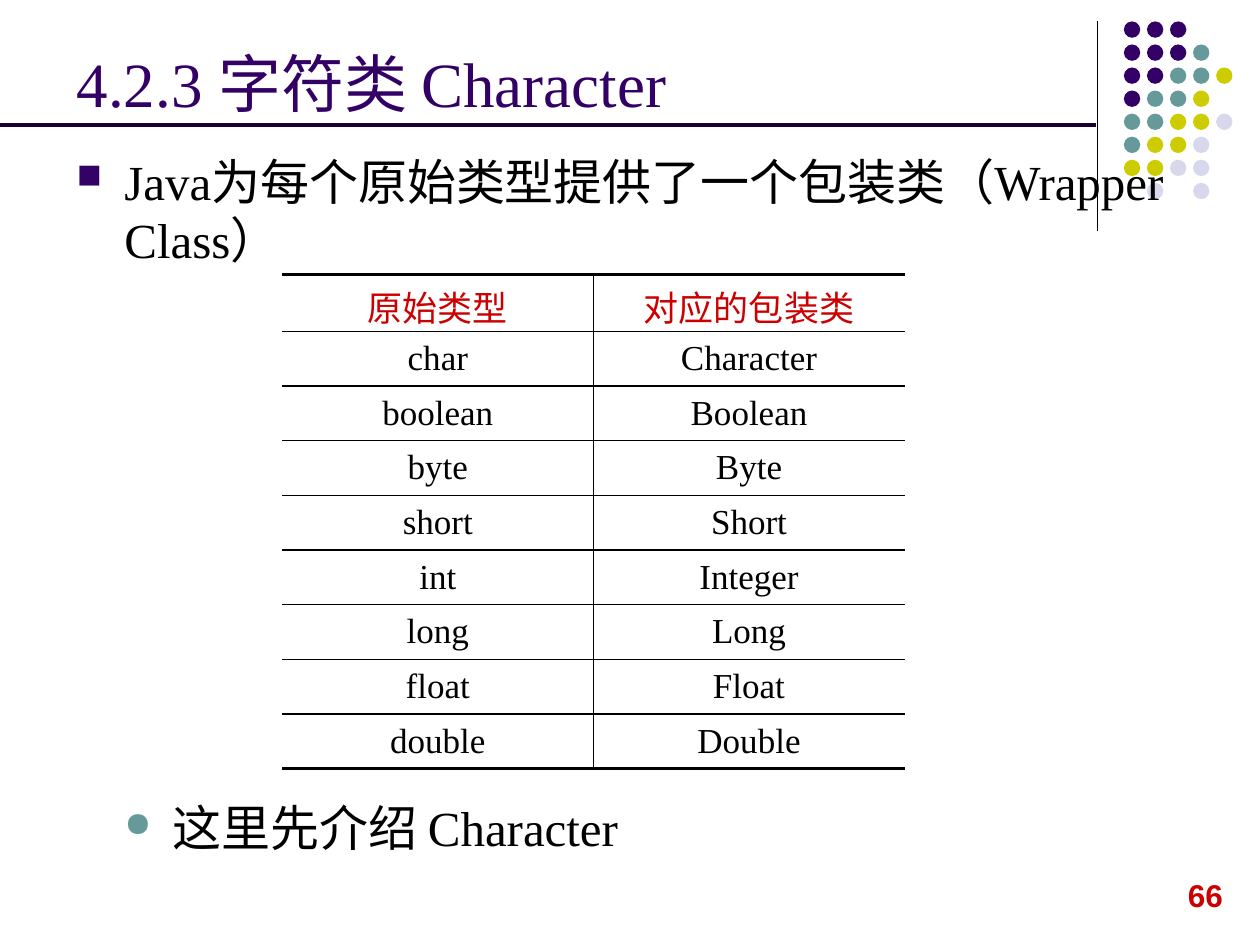
from lxml.etree import SubElement
from pptx import Presentation
from pptx.dml.color import RGBColor
from pptx.enum.shapes import MSO_CONNECTOR, MSO_SHAPE
from pptx.enum.text import MSO_ANCHOR, PP_ALIGN
from pptx.oxml.ns import qn
from pptx.util import Inches, Pt

COLORS = {"purple": "330066", "teal": "669999", "olive": "CCCC00", "lilac": "D8D8EC",
          "red": "CC0000", "black": "000000", "rule": "190033"}
SERIF = "Times New Roman"

# Content
TITLE = "4.2.3 字符类 Character"
PAGE_NUMBER = "66"
POINTS = [  # text, top, height, left margin, bullet, bullet colour
    ("Java为每个原始类型提供了一个包装类（Wrapper Class）", 1.15, 1.03, 0.38, "■", "purple"),
    ("这里先介绍 Character", 6.28, 0.57, 0.76, "●", "teal"),
]
WRAPPERS = [
    ("原始类型", "对应的包装类"),
    ("char", "Character"),
    ("boolean", "Boolean"),
    ("byte", "Byte"),
    ("short", "Short"),
    ("int", "Integer"),
    ("long", "Long"),
    ("float", "Float"),
    ("double", "Double"),
]
DOT_ROWS = ["PPP", "PPPT", "PPTTO", "PTTO", "TTOOL", "TOOL", "OOLL", " L L"]
DOT_COLORS = {"P": "purple", "T": "teal", "O": "olive", "L": "lilac"}

prs = Presentation()
prs.slide_width, prs.slide_height = Inches(10), Inches(7.5)
slide = prs.slides.add_slide(prs.slide_layouts[6])


def rgb(name):
    return RGBColor.from_string(COLORS[name])


def write(frame, text, size, color, font=SERIF, bold=False):
    paragraph = frame.paragraphs[0]
    run = paragraph.add_run()
    run.text = text
    for key, value in {"name": font, "size": Pt(size), "bold": bold}.items():
        setattr(run.font, key, value)
    run.font.color.rgb = rgb(color)
    return paragraph


def add_text_box(left, top, width, height, wrap=True, anchor=MSO_ANCHOR.TOP):
    frame = slide.shapes.add_textbox(*map(Inches, (left, top, width, height))).text_frame
    frame.word_wrap = wrap
    frame.vertical_anchor = anchor
    return frame


def add_rule(x1, y1, x2, y2, color, width):
    rule = slide.shapes.add_connector(MSO_CONNECTOR.STRAIGHT, *map(Inches, (x1, y1, x2, y2)))
    rule.line.color.rgb = rgb(color)
    rule.line.width = Pt(width)
    SubElement(rule._element.spPr, qn("a:effectLst"))


def add_bullet(paragraph, margin, char, color):
    props = paragraph._p.get_or_add_pPr()
    props.set("marL", str(Inches(margin)))
    props.set("indent", str(-Inches(0.38)))
    bullet_color = SubElement(props, qn("a:buClr"))
    SubElement(bullet_color, qn("a:srgbClr"), val=COLORS[color])
    SubElement(props, qn("a:buSzPct"), val="70000")
    SubElement(props, qn("a:buChar"), char=char)


def set_borders(cell, widths):
    props = cell._tc.get_or_add_tcPr()
    for side, width in zip(("lnL", "lnR", "lnT", "lnB"), widths):
        border = SubElement(props, qn("a:" + side), w=str(Pt(width)))
        if width:
            fill = SubElement(border, qn("a:solidFill"))
            SubElement(fill, qn("a:srgbClr"), val=COLORS["black"])
        else:
            SubElement(border, qn("a:noFill"))


# Corner decoration: vertical line and dot grid
add_rule(8.71, 0.17, 8.71, 1.83, "black", 0.75)
DOT_LEFT, DOT_TOP, DOT_SIZE, DOT_STEP = 8.92, 0.17, 0.13, 0.183
for row, codes in enumerate(DOT_ROWS):
    for col, code in enumerate(codes):
        if code == " ":
            continue
        dot = slide.shapes.add_shape(
            MSO_SHAPE.OVAL, Inches(DOT_LEFT + col * DOT_STEP), Inches(DOT_TOP + row * DOT_STEP),
            Inches(DOT_SIZE), Inches(DOT_SIZE))
        dot.shadow.inherit = False
        dot.fill.solid()
        dot.fill.fore_color.rgb = rgb(DOT_COLORS[code])
        dot.line.fill.background()

# Page number, title and bullet points
write(add_text_box(9.33, 6.9, 0.51, 0.4, wrap=False), PAGE_NUMBER, 18, "red", "Arial", True)
write(add_text_box(0.51, 0.21, 8.25, 0.79, anchor=MSO_ANCHOR.BOTTOM), TITLE, 36, "purple")
for text, top, height, margin, char, color in POINTS:
    point = write(add_text_box(0.51, top, 8.9, height), text, 28, "black")
    add_bullet(point, margin, char, color)

# Table of wrapper classes
HEADER_HEIGHT, ROW_HEIGHT, COLUMN_WIDTH = 0.45, 0.37, 2.47
last = len(WRAPPERS) - 1
table = slide.shapes.add_table(
    len(WRAPPERS), 2, Inches(2.24), Inches(2.18), Inches(2 * COLUMN_WIDTH),
    Inches(HEADER_HEIGHT + last * ROW_HEIGHT)).table
table.first_row = table.horz_banding = False
for column in table.columns:
    column.width = Inches(COLUMN_WIDTH)
for row, names in enumerate(WRAPPERS):
    table.rows[row].height = Inches(ROW_HEIGHT if row else HEADER_HEIGHT)
    for col, name in enumerate(names):
        cell = table.cell(row, col)
        cell.vertical_anchor = MSO_ANCHOR.MIDDLE
        label = write(cell.text_frame, name, 20, "black" if row else "red")
        label.alignment = PP_ALIGN.CENTER
        set_borders(cell, (col, 1 - col, 1 if row else 2.25, 2.25 if row == last else 1))
        cell.fill.background()

# Rule under the title
add_rule(0, 0.99, 8.7, 0.99, "rule", 2.25)

prs.save("out.pptx")
